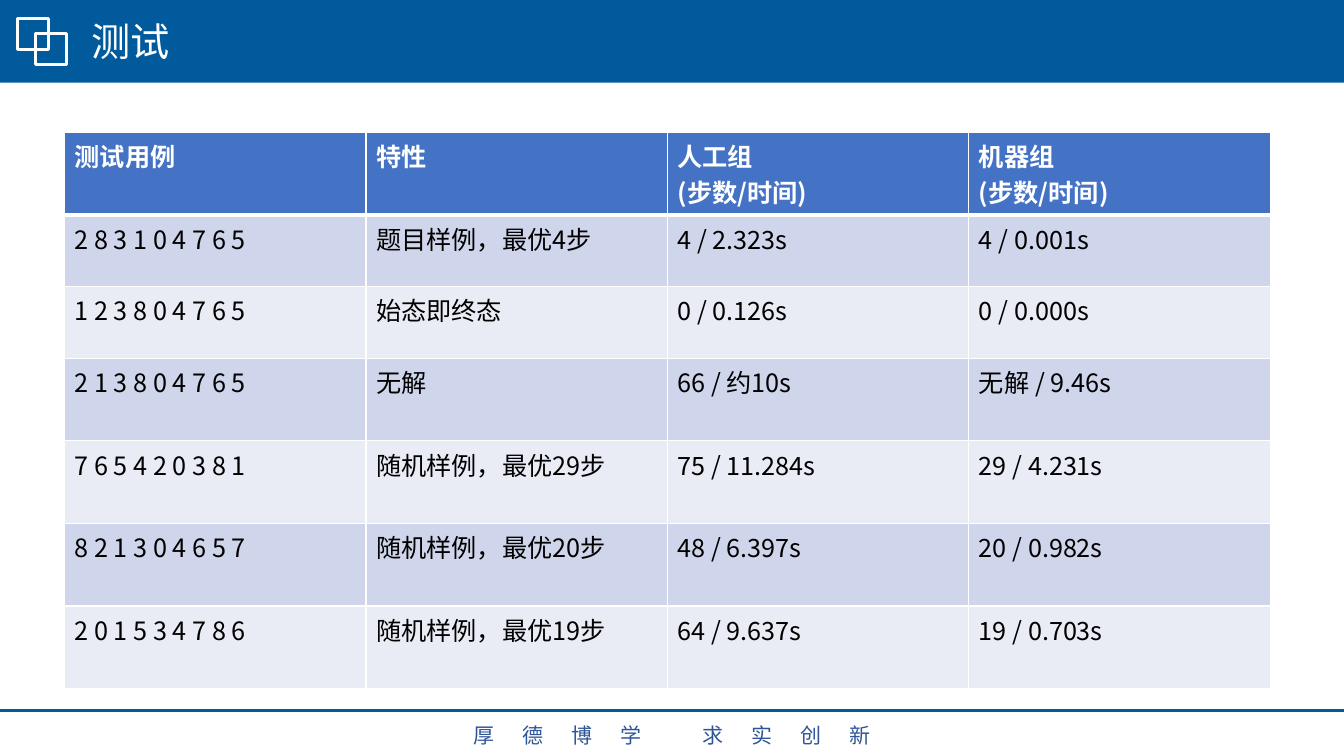
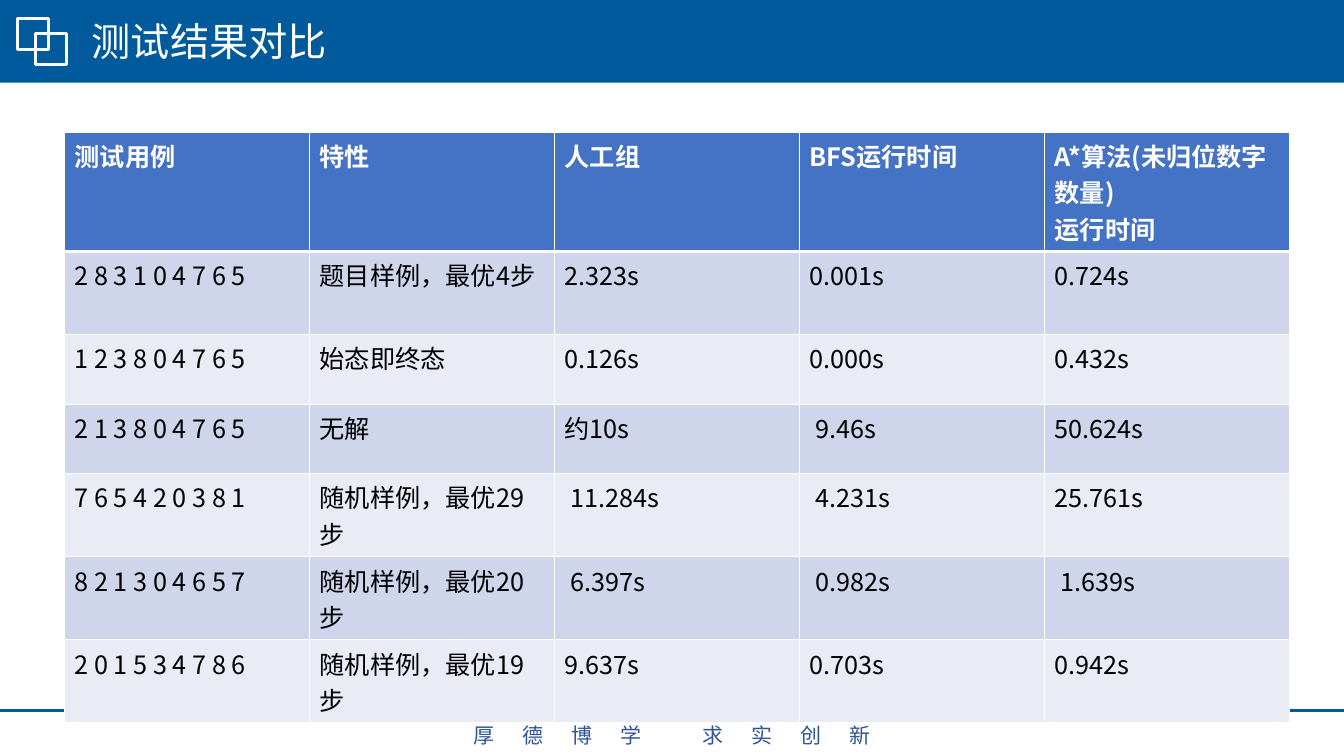
from dataclasses import dataclass

from lxml.etree import SubElement
from pptx import Presentation
from pptx.dml.color import RGBColor
from pptx.enum.shapes import MSO_CONNECTOR, MSO_SHAPE
from pptx.enum.text import MSO_ANCHOR, MSO_AUTO_SIZE, PP_ALIGN
from pptx.oxml import parse_xml
from pptx.oxml.ns import nsdecls, qn
from pptx.util import Inches, Pt

FONT = "Noto Sans CJK SC"
SPAN_FONT = "Times New Roman"
WHITE = "FFFFFF"
BLACK = "000000"
BAND_BLUE = "005A9C"
MOTTO_BLUE = "2F5597"
HEADER_BLUE = "4472C4"
ROW_FILLS = ("E9EBF5", "CFD5EA")
SLIDE_WIDTH = 13.33


@dataclass
class TableSlide:
    """A title and a table; header text between bars uses the span font."""
    title: str
    column_width: float
    row_heights: list[float]
    header: list[str]
    results: list[list[str]]


CASES = [
    ["2 8 3 1 0 4 7 6 5", "题目样例，最优4步"],
    ["1 2 3 8 0 4 7 6 5", "始态即终态"],
    ["2 1 3 8 0 4 7 6 5", "无解"],
    ["7 6 5 4 2 0 3 8 1", "随机样例，最优29步"],
    ["8 2 1 3 0 4 6 5 7", "随机样例，最优20步"],
    ["2 0 1 5 3 4 7 8 6", "随机样例，最优19步"],
]
SLIDES = [
    TableSlide(
        "测试", 2.99, [0.81] + [0.71] * 2 + [0.82] * 4,
        ["测试用例", "特性", "人工组\n(步数/时间)", "机器组\n(步数/时间)"],
        [
            ["4 / 2.323s", "4 / 0.001s"],
            ["0 / 0.126s", "0 / 0.000s"],
            ["66 / 约10s", "无解 / 9.46s"],
            ["75 / 11.284s", "29 / 4.231s"],
            ["48 / 6.397s", "20 / 0.982s"],
            ["64 / 9.637s", "19 / 0.703s"],
        ],
    ),
    TableSlide(
        "测试结果对比", 2.43, [0.81] + [0.69] * 6,
        ["测试用例", "特性", "人工组", "BFS运行时间", "A*算法(|未归位数字数量|)\n运行时间"],
        [
            ["2.323s", "0.001s", "0.724s"],
            ["0.126s", "0.000s", "0.432s"],
            ["约10s", " 9.46s", "50.624s"],
            [" 11.284s", " 4.231s", "25.761s"],
            [" 6.397s", " 0.982s", " 1.639s"],
            ["9.637s", "0.703s", "0.942s"],
        ],
    ),
]


def color(value: str) -> RGBColor:
    """Turn a hex string into a colour."""
    return RGBColor.from_string(value)


def style_paragraph(para, size: float, ink: str, bold: bool = False, spacing: float = 0) -> None:
    """Set the font of a whole paragraph, spacing in points."""
    font = para.font
    font.size = Pt(size)
    font.bold = bold
    font.color.rgb = color(ink)
    font.name = FONT
    properties = para._p.get_or_add_pPr().get_or_add_defRPr()
    SubElement(properties, qn("a:ea")).set("typeface", FONT)
    if spacing:
        properties.set("spc", str(int(spacing * 100)))


def add_band(page) -> None:
    """Draw the title band and its two overlapping squares."""
    band = page.shapes.add_shape(
        MSO_SHAPE.RECTANGLE, 0, Inches(-0.01), Inches(SLIDE_WIDTH), Inches(0.83))
    band.shadow.inherit = False
    band.fill.solid()
    band.fill.fore_color.rgb = color(BAND_BLUE)
    band.line.fill.background()
    squares = page.shapes.add_group_shape()
    for left, top in ((0.17, 0.18), (0.35, 0.33)):
        square = squares.shapes.add_shape(
            MSO_SHAPE.RECTANGLE, Inches(left), Inches(top), Inches(0.31), Inches(0.31))
        square.shadow.inherit = False
        square.fill.background()
        square.line.color.rgb = color(WHITE)
        square.line.width = Pt(2)


def add_footer(page) -> None:
    """Draw the bottom rule and the motto."""
    rule = page.shapes.add_connector(
        MSO_CONNECTOR.STRAIGHT, 0, Inches(7.05), Inches(SLIDE_WIDTH), Inches(7.05))
    rule.line.color.rgb = color(BAND_BLUE)
    rule.line.width = Pt(2.25)
    SubElement(rule.element.spPr, qn("a:effectLst"))
    box = page.shapes.add_textbox(Inches(0.64), Inches(7.12), Inches(12.05), Inches(0.35))
    box.text_frame.word_wrap = True
    box.text_frame.auto_size = MSO_AUTO_SIZE.SHAPE_TO_FIT_TEXT
    para = box.text_frame.paragraphs[0]
    para.text = "厚德博学 求实创新"
    para.alignment = PP_ALIGN.CENTER
    style_paragraph(para, 15, MOTTO_BLUE, spacing=20)


def furnish_layout(page) -> None:
    """Draw the shared parts and move them to the page's layout."""
    layout = page.slide_layout
    for placeholder in list(layout.placeholders):
        if placeholder.placeholder_format.idx != 0:
            layout.shapes.element.remove(placeholder.element)
    add_band(page)
    add_footer(page)
    parts = [shape for shape in page.shapes if not shape.is_placeholder]
    for index, part in enumerate(parts, start=2):
        layout.shapes.element.insert(index, part.element)


def set_title(page, text: str) -> None:
    """Place and format the title placeholder."""
    title = page.shapes.title
    title.left, title.top = Inches(0.81), Inches(0.2)
    title.width, title.height = Inches(11.5), Inches(0.46)
    frame = title.text_frame
    frame.vertical_anchor = MSO_ANCHOR.MIDDLE
    frame.auto_size = MSO_AUTO_SIZE.NONE
    para = frame.paragraphs[0]
    para.text = text
    para.alignment = PP_ALIGN.LEFT
    para.line_spacing = 0.9
    style_paragraph(para, 28, WHITE)


def set_borders(cell, row: int) -> None:
    """Give a cell white borders, thick below the header."""
    widths = {"L": 1, "R": 1, "T": 3 if row == 1 else 1, "B": 3 if row == 0 else 1}
    properties = cell._tc.get_or_add_tcPr()
    for index, (side, width) in enumerate(widths.items()):
        properties.insert(index, parse_xml(
            f'<a:ln{side} {nsdecls("a")} w="{Pt(width)}"><a:solidFill>'
            f'<a:srgbClr val="{WHITE}"/></a:solidFill></a:ln{side}>'))


def fill_cell(cell, text: str, row: int) -> None:
    """Write and format one table cell."""
    is_header = row == 0
    cell.fill.solid()
    cell.fill.fore_color.rgb = color(HEADER_BLUE if is_header else ROW_FILLS[row % 2])
    set_borders(cell, row)
    frame = cell.text_frame
    for number, line in enumerate(text.split("\n")):
        para = frame.add_paragraph() if number else frame.paragraphs[0]
        style_paragraph(para, 18, WHITE if is_header else BLACK, bold=is_header)
        for index, part in enumerate(line.split("|")):
            span = para.add_run()
            span.text = part
            if index % 2:
                span.font.name = SPAN_FONT


def add_results(page, content: TableSlide) -> None:
    """Draw the table of test cases and results."""
    rows = [content.header] + [case + result for case, result in zip(CASES, content.results)]
    columns = len(content.header)
    table = page.shapes.add_table(
        len(rows), columns, Inches(0.64), Inches(1.31),
        Inches(content.column_width * columns), Inches(sum(content.row_heights))).table
    for column in table.columns:
        column.width = Inches(content.column_width)
    for row, texts in enumerate(rows):
        table.rows[row].height = Inches(content.row_heights[row])
        for column, text in enumerate(texts):
            fill_cell(table.cell(row, column), text, row)


def main() -> None:
    """Build and save the deck."""
    deck = Presentation()
    deck.slide_width = Inches(SLIDE_WIDTH)
    deck.slide_height = Inches(7.5)
    for number, content in enumerate(SLIDES):
        page = deck.slides.add_slide(deck.slide_layouts.get_by_name("Title Only"))
        if number == 0:
            furnish_layout(page)
        set_title(page, content.title)
        add_results(page, content)
    deck.save("out.pptx")


if __name__ == "__main__":
    main()
